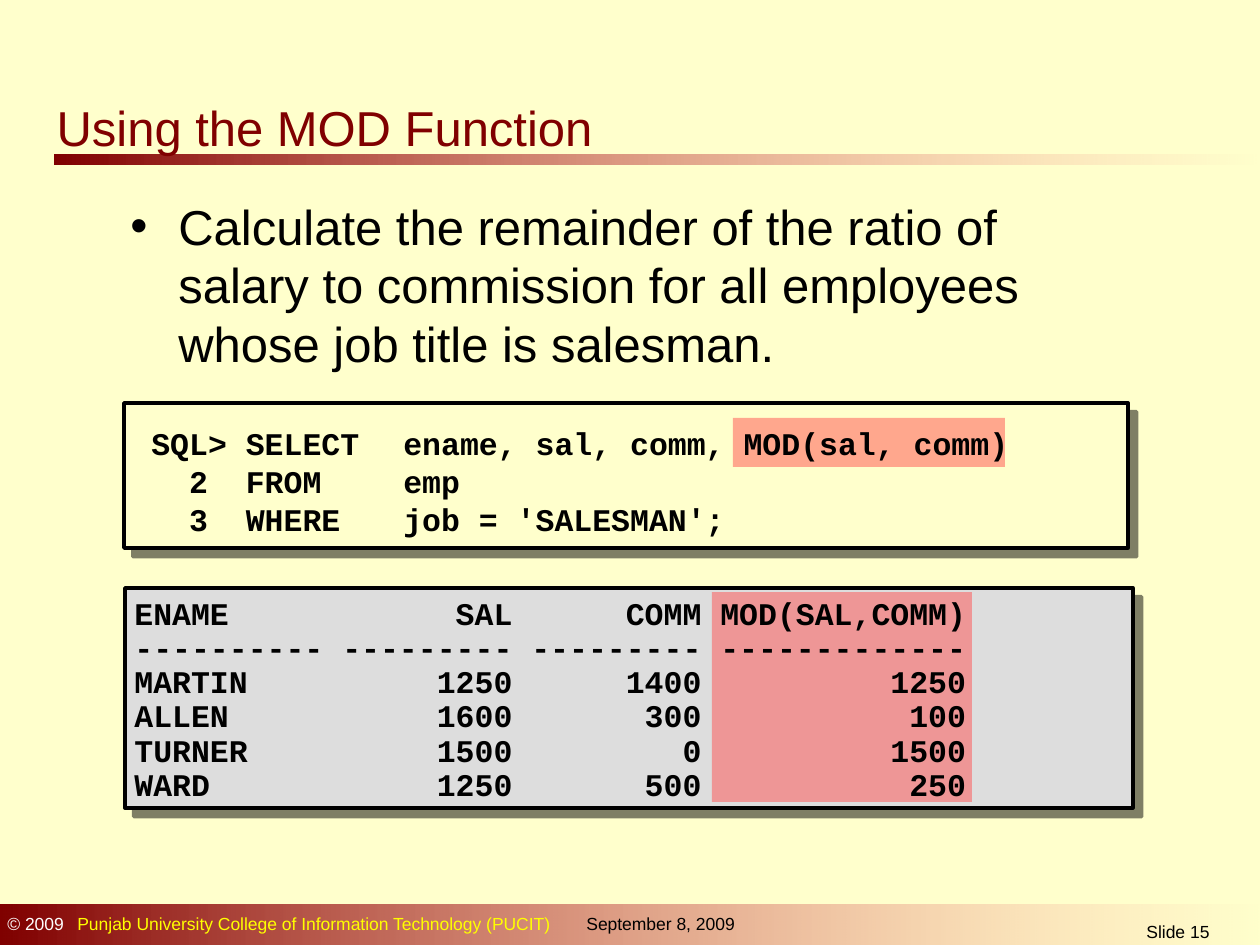
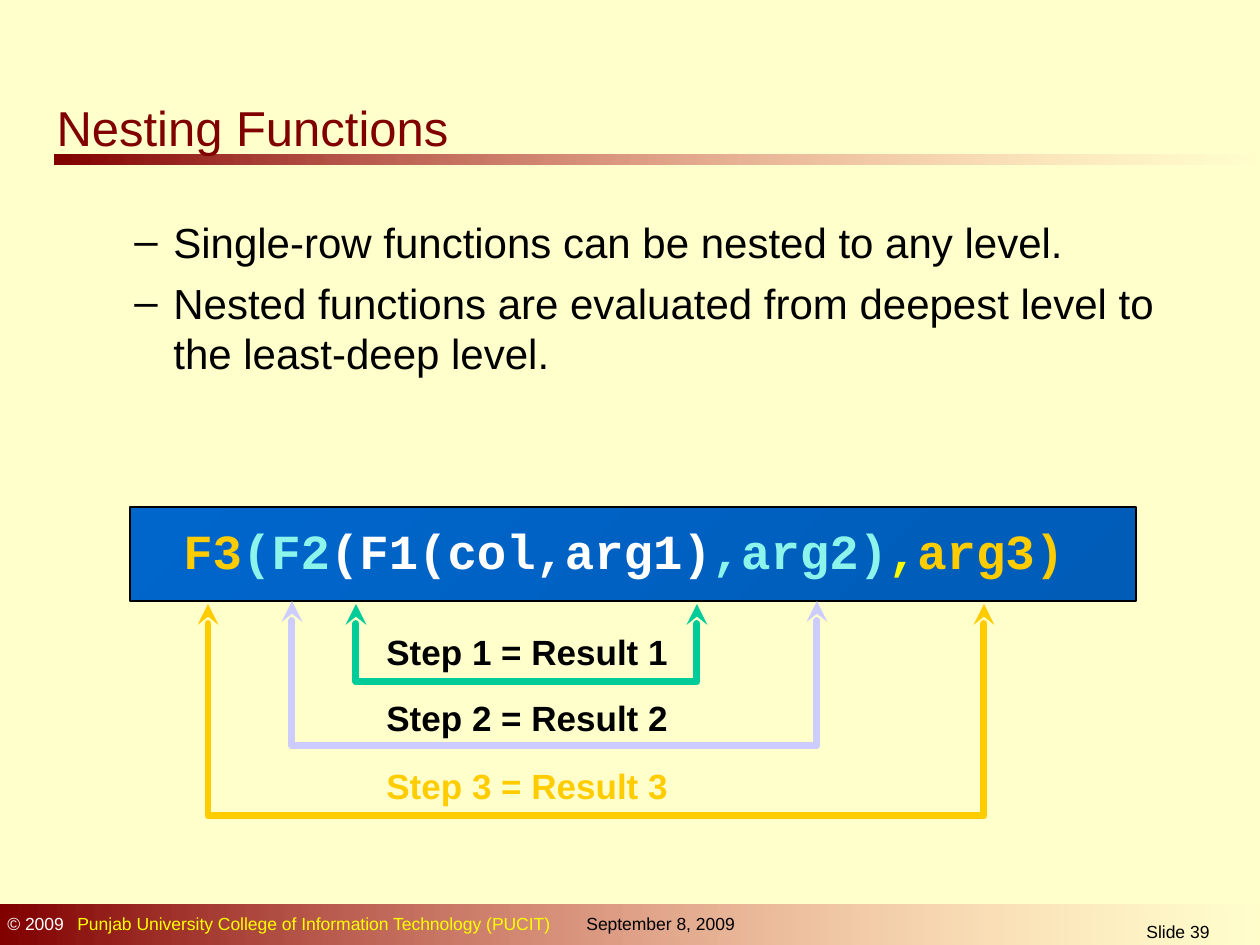
from pptx import Presentation
from pptx.dml.color import RGBColor
from pptx.enum.shapes import MSO_SHAPE
from pptx.enum.text import MSO_ANCHOR, MSO_AUTO_SIZE, PP_ALIGN
from pptx.oxml.ns import qn
from pptx.util import Emu, Pt
from lxml import etree

RECT = MSO_SHAPE.RECTANGLE
LEFT, CENTER = PP_ALIGN.LEFT, PP_ALIGN.CENTER
PX = 914400 / 126
LEADING = 1.2
SANS, MONO = "Arial", "Courier New"

CREAM, MAROON, ROSE, BLACK = "FFFFCC", "800000", "FF8585", "000000"
WHITE, YELLOW, GRAY, RED = "FFFFFF", "FFFF00", "DDDDDD", "FF5050"
GOLD, AQUA, LEMON, LILAC, GREEN = "FFCC00", "8CF4EA", "FAFD00", "CCCCFF", "00CC99"
BLUE, DEEP_BLUE = "0066CC", "005CB7"

FOOTER = [("© 2009", WHITE),
          ("\tPunjab University College of Information Technology (PUCIT)", YELLOW)]
DATE = "September 8, 2009"

MOD_TITLE = "Using the MOD Function"
MOD_TASK = ["Calculate the remainder of the ratio of salary to commission "
            "for all employees whose job title is salesman."]
QUERY = ["SQL> SELECT\tename, sal, comm, MOD(sal, comm)",
         "  2  FROM\temp",
         "  3  WHERE\tjob = 'SALESMAN';"]
COLUMN_WIDTHS = (10, 9, 9, 13)
RESULT_HEAD = ("ENAME", "SAL", "COMM", "MOD(SAL,COMM)")
RESULT_ROWS = [("MARTIN", 1250, 1400, 1250),
               ("ALLEN", 1600, 300, 100),
               ("TURNER", 1500, 0, 1500),
               ("WARD", 1250, 500, 250)]

NEST_TITLE = "Nesting Functions"
NEST_POINTS = ["Single-row functions can be nested to any level.",
               "Nested functions are evaluated from deepest level to the least-deep level."]
EXPRESSION = [("F3", GOLD), ("(F2", AQUA), ("(F1(col,arg1)", WHITE),
              (",arg2)", AQUA), (",", LEMON), ("arg3)", GOLD)]
# label, label top, label colour, bracket colour, bracket (left, top, right, bottom)
STEPS = [("Step 1 = Result 1", 624, BLACK, GREEN, (356, 604, 697, 682)),
         ("Step 2 = Result 2", 690, BLACK, LILAC, (292, 601, 817, 746)),
         ("Step 3 = Result 3", 758, GOLD, GOLD, (208, 604, 984, 816))]


def px(length):
    return Emu(round(length * PX))


def rgb(color):
    return RGBColor.from_string(color)


def add_xml(parent, tag, **attributes):
    values = {name: str(value) for name, value in attributes.items()}
    return etree.SubElement(parent, qn(tag), values)


def set_alpha(shape, percent):
    """Make the last fill colour of the shape transparent."""
    color = shape._element.spPr.findall(".//" + qn("a:srgbClr"))[-1]
    add_xml(color, "a:alpha", val=percent * 1000)


def add_box(slide, box, fill, line_width=0, fill_alpha=100, shadow=False):
    """fill is one colour, or (start, end, clockwise angle) for a gradient."""
    shape = slide.shapes.add_shape(RECT, *map(px, box))
    shape.shadow.inherit = False
    if isinstance(fill, tuple):
        *colors, angle = fill
        shape.fill.gradient()
        shape.fill.gradient_angle = -angle % 360
        for stop, color in zip(shape.fill.gradient_stops, colors):
            stop.color.rgb = rgb(color)
    else:
        shape.fill.solid()
        shape.fill.fore_color.rgb = rgb(fill)
    if fill_alpha < 100:
        set_alpha(shape, fill_alpha)
    if line_width:
        shape.line.color.rgb = rgb(BLACK)
        shape.line.width = Pt(line_width)
    else:
        shape.line.fill.background()
    if shadow:
        effects = shape._element.spPr.find(qn("a:effectLst"))
        outer = add_xml(effects, "a:outerShdw", dist=Pt(7.1), dir=2700000,
                        algn="ctr", rotWithShape=0)
        add_xml(add_xml(outer, "a:srgbClr", val=BLACK), "a:alpha", val=50000)


def write(frame, paragraphs, size, font=SANS, color=BLACK, bold=False, align=LEFT,
          leading=LEADING, gap=0, tab=0, bullet="", indent=(0, 0)):
    """Each paragraph is a string or a list of (text, colour) runs."""
    for number, content in enumerate(paragraphs):
        paragraph = frame.paragraphs[0] if number == 0 else frame.add_paragraph()
        properties = paragraph._p.get_or_add_pPr()
        if bullet:
            margin, hanging = indent
            properties.set("marL", str(px(margin)))
            properties.set("indent", str(px(hanging)))
            add_xml(add_xml(properties, "a:buClr"), "a:srgbClr", val=BLACK)
            add_xml(properties, "a:buFont", typeface=SANS)
            add_xml(properties, "a:buChar", char=bullet)
        if tab:
            add_xml(add_xml(properties, "a:tabLst"), "a:tab", pos=px(tab), algn="l")
        paragraph.alignment = align
        paragraph.line_spacing = Pt(round(size * leading, 2))
        paragraph.space_before = Pt(gap if number else 0)
        runs = [(content, color)] if isinstance(content, str) else content
        for text, run_color in runs:
            run = paragraph.add_run()
            run.text = text
            run.font.name = font
            run.font.size = Pt(size)
            run.font.bold = bold
            run.font.color.rgb = rgb(run_color)


def add_text(slide, box, paragraphs, size, wrap=True, **style):
    frame = slide.shapes.add_textbox(*map(px, box)).text_frame
    frame.word_wrap = wrap
    write(frame, paragraphs, size, **style)


def add_bracket(slide, corners, color):
    left, top, right, bottom = corners
    builder = slide.shapes.build_freeform(px(left), px(top), scale=1.0)
    builder.add_line_segments([(px(left), px(bottom)), (px(right), px(bottom)),
                               (px(right), px(top))], close=False)
    bracket = builder.convert_to_shape()
    bracket.shadow.inherit = False
    bracket.fill.background()
    bracket.line.color.rgb = rgb(color)
    bracket.line.width = Pt(4)
    outline = bracket._element.spPr.find(qn("a:ln"))
    outline.set("cap", "rnd")
    add_xml(outline, "a:round")
    for end in ("a:headEnd", "a:tailEnd"):
        add_xml(outline, end, type="stealth")


def add_slide(prs, heading, number):
    """Start a slide with the shared bands, footer and title."""
    slide = prs.slides.add_slide(prs.slide_layouts[5])
    for band in ((54, 155, 1206, 10), (0, 905, 1264, 44)):
        add_box(slide, band, (MAROON, ROSE, 0), fill_alpha=0)
    add_text(slide, (-5, 907, 814, 34), [FOOTER], 10, tab=70)
    add_text(slide, (574, 907, 195, 34), [DATE], 10)
    add_text(slide, (1047, 915, 262, 30), [f"Slide {number}"], 10, align=CENTER)

    title = slide.shapes.title
    slide.shapes._spTree.append(title._element)
    title.left, title.top, title.width, title.height = map(px, (44, 91, 590, 72))
    frame = title.text_frame
    frame.auto_size = MSO_AUTO_SIZE.NONE
    frame.vertical_anchor = MSO_ANCHOR.TOP
    frame.word_wrap = True
    write(frame, [heading], 28, color=MAROON)
    return slide


def result_line(values):
    name, *numbers = (str(value) for value in values)
    name_width, *number_widths = COLUMN_WIDTHS
    cells = [text.rjust(width) for text, width in zip(numbers, number_widths)]
    return " ".join([name.ljust(name_width), *cells])


def build_mod_slide(prs):
    slide = add_slide(prs, MOD_TITLE, 15)
    add_text(slide, (118, 190, 1018, 189), MOD_TASK, 28, bullet="•", indent=(48, -48))
    add_box(slide, (125, 588, 1008, 220), GRAY, line_width=2, shadow=True)
    add_box(slide, (124, 403, 1004, 145), CREAM, line_width=2, shadow=True)
    for highlight in ((733, 418, 272, 49), (712, 592, 260, 210)):
        add_box(slide, highlight, RED, fill_alpha=50)
    add_text(slide, (139, 418, 985, 130), QUERY, 18, font=MONO, bold=True, tab=252)
    rules = ["-" * width for width in COLUMN_WIDTHS]
    result = [result_line(row) for row in (RESULT_HEAD, rules, *RESULT_ROWS)]
    add_text(slide, (122, 592, 1004, 217), result, 18, font=MONO, bold=True,
             leading=0.9 * LEADING)


def build_nesting_slide(prs):
    slide = add_slide(prs, NEST_TITLE, 39)
    add_text(slide, (59, 210, 1140, 174), NEST_POINTS, 24, gap=6,
             bullet="–", indent=(102, -39))
    add_box(slide, (130, 507, 1006, 94), (BLUE, DEEP_BLUE, 45), line_width=1)
    add_text(slide, (171, 535, 906, 52), [EXPRESSION], 28, wrap=False, font=MONO,
             bold=True, leading=22 / 28)
    for label, top, label_color, bracket_color, corners in STEPS:
        add_bracket(slide, corners, bracket_color)
        add_text(slide, (374, top, 307, 54), [label], 20, wrap=False,
                 color=label_color, bold=True)


def main():
    prs = Presentation()
    prs.slide_width, prs.slide_height = px(1260), px(945)
    background = prs.slide_master.background.fill
    background.solid()
    background.fore_color.rgb = rgb(CREAM)
    build_mod_slide(prs)
    build_nesting_slide(prs)
    prs.save("out.pptx")


if __name__ == "__main__":
    main()
